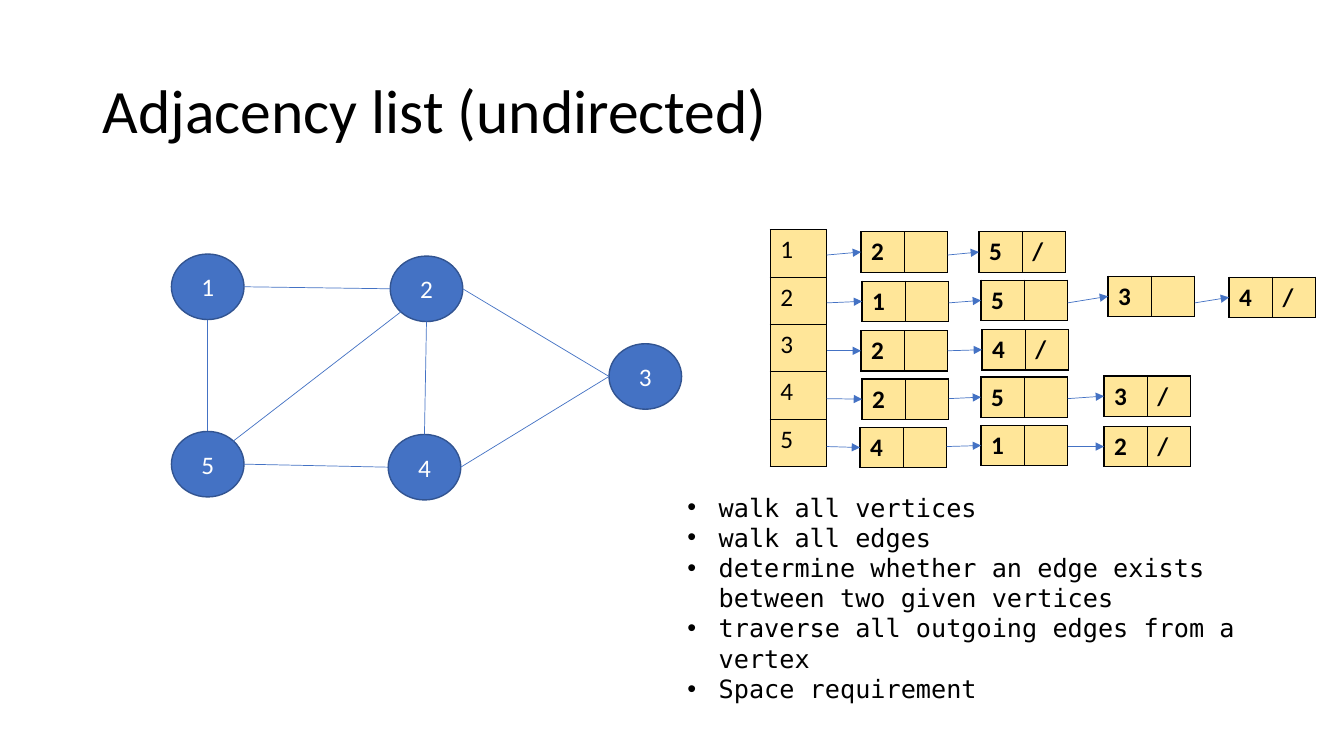
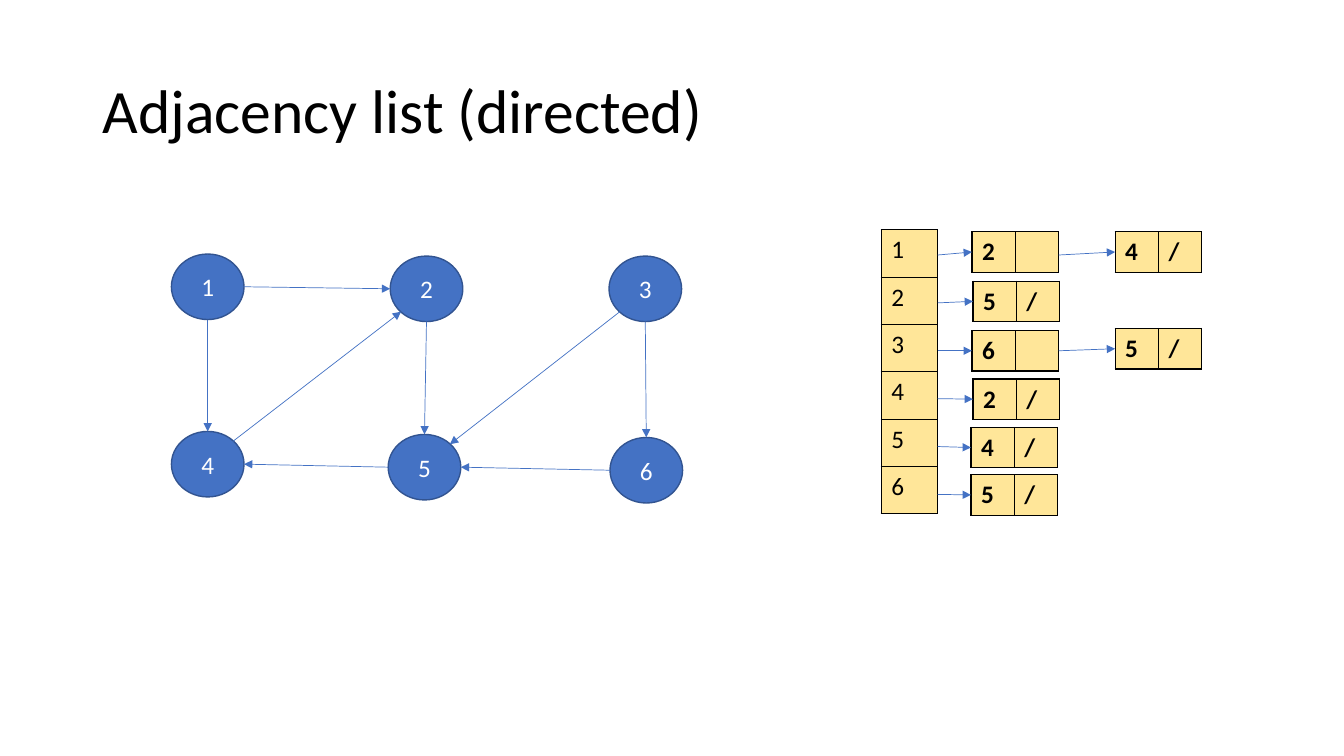
"""Build two slides on adjacency lists for undirected and directed graphs."""
from lxml.etree import SubElement
from pptx import Presentation
from pptx.dml.color import RGBColor
from pptx.enum.shapes import MSO_CONNECTOR, MSO_SHAPE
from pptx.enum.text import MSO_ANCHOR, PP_ALIGN
from pptx.oxml.ns import qn
from pptx.util import Inches, Pt

COLORS = {"text": "000000", "vertex": "4472C4", "outline": "325491",
          "vertex_text": "FFFFFF", "cell": "FFE699", "border": "000000"}
BODY_FONT, CODE_FONT = "Calibri", "DejaVu Sans Mono"
VERTEX_W, VERTEX_H = 0.72, 0.65
ARRAY_TOP, ARRAY_W, ROW_H = 2.28, 0.56, 0.47
ROW_STEP, LINK_TOP = 0.475, 2.53
NODE_W, NODE_H = 0.86, 0.4

SITES = {"top": (0, 0.5, 0), "left": (2, 0, 0.5), "bottom left": (3, 0.15, 0.85),
         "bottom": (4, 0.5, 1), "right": (6, 1, 0.5), "top right": (7, 0.85, 0.15)}

GRAPHS = [
    {
        "title": "Adjacency list (undirected)",
        "directed": False,
        "vertices": {"1": (1.7, 2.52), "2": (3.87, 2.54), "5": (1.7, 4.28),
                     "4": (3.85, 4.31), "3": (6.04, 3.41)},
        "edges": [("1", "right", "2", "left"), ("2", "bottom", "4", "top"),
                  ("1", "bottom", "5", "top"), ("5", "right", "4", "left"),
                  ("5", "top right", "2", "bottom left"),
                  ("2", "right", "3", "left"), ("4", "right", "3", "left")],
        "array_left": 7.64,
        "lists": [
            [("2", 8.54, 2.3), ("5", 9.71, 2.3)],
            [("1", 8.55, 2.79), ("5", 9.73, 2.78), ("3", 10.99, 2.74), ("4", 12.19, 2.75)],
            [("2", 8.54, 3.28), ("4", 9.74, 3.27)],
            [("2", 8.55, 3.76), ("5", 9.73, 3.74), ("3", 10.95, 3.73)],
            [("4", 8.53, 4.24), ("1", 9.73, 4.22), ("2", 10.95, 4.23)],
        ],
        "operations": ["walk all vertices", "walk all edges",
                       "determine whether an edge exists between two given vertices",
                       "traverse all outgoing edges from a vertex", "Space requirement"],
    },
    {
        "title": "Adjacency list (directed)",
        "directed": True,
        "vertices": {"1": (1.7, 2.52), "2": (3.87, 2.54), "4": (1.7, 4.28),
                     "5": (3.85, 4.31), "3": (6.04, 2.54), "6": (6.05, 4.34)},
        "edges": [("1", "right", "2", "left"), ("1", "bottom", "4", "top"),
                  ("4", "top right", "2", "bottom left"), ("5", "left", "4", "right"),
                  ("2", "bottom", "5", "top"), ("3", "bottom left", "5", "top right"),
                  ("3", "bottom", "6", "top"), ("6", "left", "5", "right")],
        "array_left": 8.74,
        "lists": [
            [("2", 9.64, 2.3), ("4", 11.06, 2.3)],
            [("5", 9.65, 2.79)],
            [("6", 9.64, 3.28), ("5", 11.06, 3.26)],
            [("2", 9.65, 3.76)],
            [("4", 9.63, 4.24)],
            [("5", 9.63, 4.71)],
        ],
        "operations": [],
    },
]


def rgb(name):
    return RGBColor.from_string(COLORS[name])


def add_text(paragraph, text, size=18, color="text", font=BODY_FONT, bold=False):
    run = paragraph.add_run()
    run.text = text
    run.font.size, run.font.name, run.font.bold = Pt(size), font, bold
    run.font.color.rgb = rgb(color)


def add_textbox(slide, left, top, width, height):
    frame = slide.shapes.add_textbox(
        Inches(left), Inches(top), Inches(width), Inches(height)).text_frame
    frame.word_wrap = True
    return frame


def add_title(slide, title):
    frame = add_textbox(slide, 0.92, 0.4, 11.5, 1.45)
    frame.vertical_anchor = MSO_ANCHOR.MIDDLE
    frame.paragraphs[0].line_spacing = 0.9
    add_text(frame.paragraphs[0], title, 44)


def add_line(slide, start, end, arrow):
    line = slide.shapes.add_connector(
        MSO_CONNECTOR.STRAIGHT, *(Inches(value) for value in (*start, *end)))
    line.line.color.rgb = rgb("vertex")
    line.line.width = Pt(0.5)
    if arrow:
        SubElement(line.line._get_or_add_ln(), qn("a:tailEnd"), type="triangle")
    SubElement(line.element.spPr, qn("a:effectLst"))
    return line


def add_vertex(slide, label, left, top):
    vertex = slide.shapes.add_shape(MSO_SHAPE.OVAL, Inches(left), Inches(top),
                                    Inches(VERTEX_W), Inches(VERTEX_H))
    vertex.shadow.inherit = False
    vertex.fill.solid()
    vertex.fill.fore_color.rgb = rgb("vertex")
    vertex.line.color.rgb = rgb("outline")
    vertex.line.width = Pt(1)
    vertex.text_frame.vertical_anchor = MSO_ANCHOR.MIDDLE
    paragraph = vertex.text_frame.paragraphs[0]
    paragraph.alignment = PP_ALIGN.CENTER
    add_text(paragraph, label, color="vertex_text")
    return vertex


def add_graph(slide, vertices, edges, directed):
    ovals = {label: add_vertex(slide, label, *place) for label, place in vertices.items()}

    def site_point(label, site):
        left, top = vertices[label]
        _, across, down = SITES[site]
        return left + across * VERTEX_W, top + down * VERTEX_H

    for source, exit_site, target, entry_site in edges:
        edge = add_line(slide, site_point(source, exit_site),
                        site_point(target, entry_site), directed)
        glue = edge.element.find(".//" + qn("p:cNvCxnSpPr"))
        for tag, label, site in (("a:stCxn", source, exit_site),
                                 ("a:endCxn", target, entry_site)):
            SubElement(glue, qn(tag), id=str(ovals[label].shape_id), idx=str(SITES[site][0]))


def add_cells(slide, rows, left, top, width, row_height, bold=False):
    table = slide.shapes.add_table(
        len(rows), len(rows[0]), Inches(left), Inches(top),
        Inches(width), Inches(row_height * len(rows))).table
    table.first_row = table.horz_banding = False
    for row_index, row in enumerate(rows):
        for column_index, text in enumerate(row):
            cell = table.cell(row_index, column_index)
            properties = cell._tc.get_or_add_tcPr()
            for side in ("a:lnL", "a:lnR", "a:lnT", "a:lnB"):
                border = SubElement(properties, qn(side), w=str(Pt(1)))
                paint = SubElement(border, qn("a:solidFill"))
                SubElement(paint, qn("a:srgbClr"), val=COLORS["border"])
            cell.fill.solid()
            cell.fill.fore_color.rgb = rgb("cell")
            if text:
                add_text(cell.text_frame.paragraphs[0], text, bold=bold)


def add_adjacency_lists(slide, array_left, lists):
    heads = [[str(number)] for number in range(1, len(lists) + 1)]
    add_cells(slide, heads, array_left, ARRAY_TOP, ARRAY_W, ROW_H)
    for index, nodes in enumerate(lists):
        link_left, link_top = array_left + ARRAY_W, LINK_TOP + index * ROW_STEP
        for position, (label, left, top) in enumerate(nodes, 1):
            pointer = "/" if position == len(nodes) else ""
            add_cells(slide, [[label, pointer]], left, top, NODE_W, NODE_H, bold=True)
            add_line(slide, (link_left, link_top), (left, top + NODE_H / 2), True)
            link_left = left + NODE_W


def add_operations(slide, operations):
    frame = add_textbox(slide, 6.22, 4.83, 6.66, 2.22)
    for index, operation in enumerate(operations):
        paragraph = frame.add_paragraph() if index else frame.paragraphs[0]
        paragraph.level = 1
        properties = paragraph._p.get_or_add_pPr()
        properties.set("marL", str(Inches(0.81)))
        properties.set("indent", str(Inches(-0.31)))
        SubElement(properties, qn("a:buFont"), typeface="Arial")
        SubElement(properties, qn("a:buChar"), char="•")
        add_text(paragraph, operation, font=CODE_FONT)


def main():
    deck = Presentation()
    deck.slide_width, deck.slide_height = Inches(13.33), Inches(7.5)
    for graph in GRAPHS:
        slide = deck.slides.add_slide(deck.slide_layouts[6])
        add_title(slide, graph["title"])
        add_graph(slide, graph["vertices"], graph["edges"], graph["directed"])
        add_adjacency_lists(slide, graph["array_left"], graph["lists"])
        if graph["operations"]:
            add_operations(slide, graph["operations"])
    deck.save("out.pptx")


if __name__ == "__main__":
    main()
